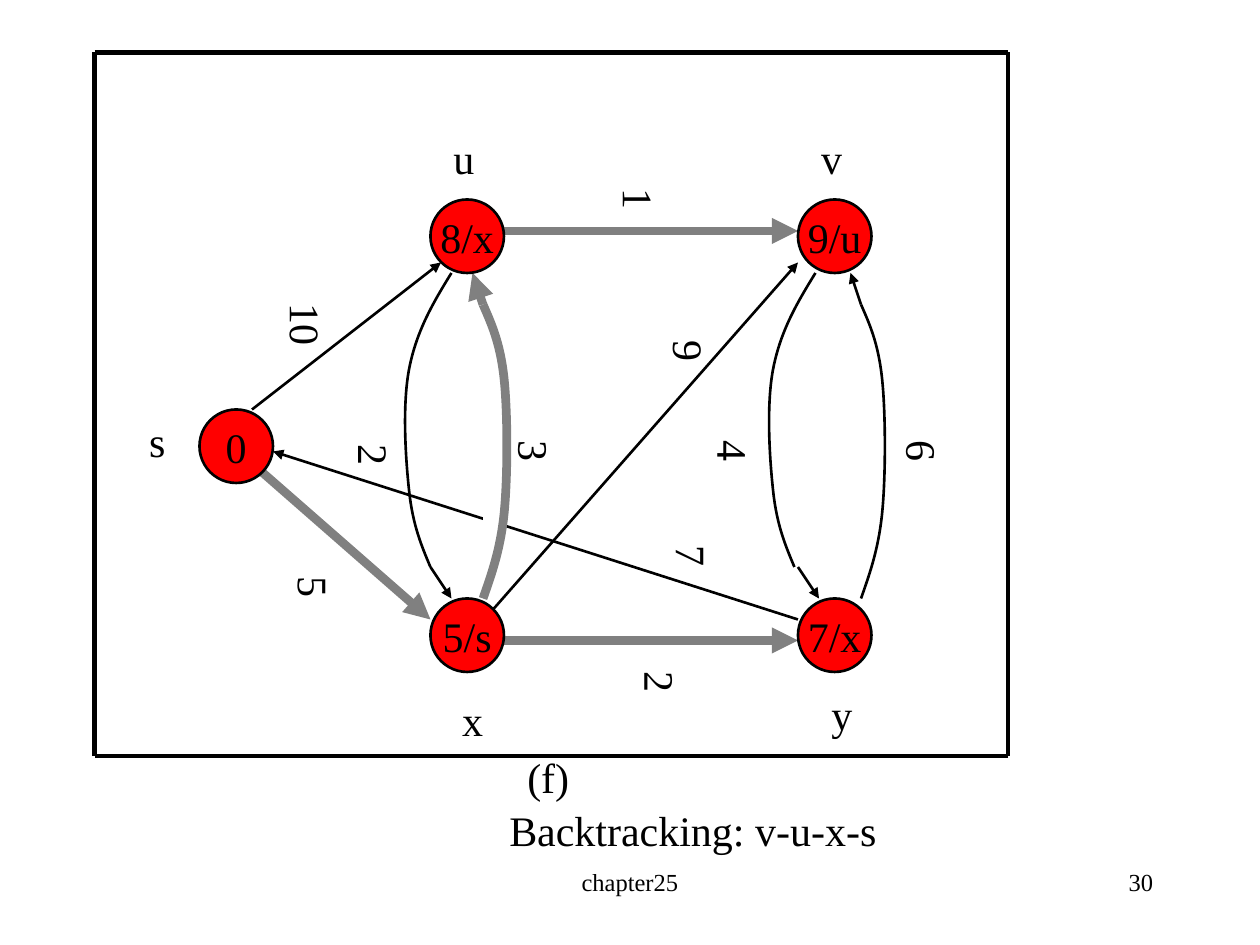
from dataclasses import dataclass

from lxml import etree
from pptx import Presentation
from pptx import util as u
from pptx.dml.color import RGBColor
from pptx.enum import shapes, text
from pptx.oxml.ns import qn


@dataclass(frozen=True)
class Theme:
    font: str = "Times New Roman"
    ink: str = "000000"
    route: str = "808080"
    node: str = "FF0000"
    paper: str = "FFFFFF"
    body: float = 24
    footer: float = 14
    thin: float = 1.5
    thick: float = 5
    border: float = 2.5


THEME = Theme()
EDGE = (THEME.ink, THEME.thin)
ROUTE = (THEME.route, THEME.thick)
CENTER, RIGHT = text.PP_ALIGN.CENTER, text.PP_ALIGN.RIGHT

NODE_SIZE = 42
NODES = [("0", 114, 234), ("7/x", 456, 342), ("9/u", 456, 114),
         ("5/s", 246, 342), ("8/x", 246, 114)]

ARROWS = [
    ((246, 324), (258, 342), EDGE),
    ((276, 174), (270, 156), ROUTE),
    ((456, 324), (468, 342), EDGE),
    ((492, 174), (486, 156), EDGE),
    ((150, 270), (246, 354), ROUTE),
    ((456, 354), (156, 258), EDGE),
    ((144, 234), (252, 150), EDGE),
    ((288, 132), (456, 132), ROUTE),
    ((288, 366), (456, 366), ROUTE),
    ((282, 348), (456, 150), EDGE),
]

DOWN = [(258, 156), (247.7, 172.8), (238.3, 188.6), (234, 210),
        (229.7, 231.1), (231.8, 262.8), (234, 282),
        (236.2, 301), (241.2, 312.5), (246, 324)]
UP = [(276, 342), (280.8, 328.3), (285.8, 314.6), (288, 294),
      (290.2, 272.9), (290.2, 236.2), (288, 216),
      (285.8, 195.8), (280.8, 185), (276, 174)]
CURVES = [(DOWN, 0, None, EDGE), (UP, 0, THEME.paper, ROUTE),
          (DOWN, 208, None, EDGE), (UP, 216, THEME.paper, EDGE)]

WEIGHTS = [
    ("10", 150, 166.3), ("5", 153.6, 322.6), ("2", 188.1, 247),
    ("1", 339.3, 100.8), ("3", 279.6, 244.8), ("4", 393.3, 244.8),
    ("2", 351.6, 376.6), ("6", 501.3, 244.8), ("9", 368.1, 187.2),
    ("7", 369.6, 304.6),
]
WEIGHT_WIDTH = 43.2
WEIGHT_INSET = 3.6
DIGIT = 12.1

NAMES = [("s", 78.2, 234, 23.8), ("u", 252, 72, 25.9), ("v", 462.2, 72, 25.9),
         ("x", 257, 393.1, 25.9), ("y", 468, 390.2, 25.9)]
LINE_HEIGHT = 36

FRAME = (54, 30, 576, 432)


def color(value):
    return RGBColor.from_string(value)


def set_line(shape, style):
    shape.line.color.rgb = color(style[0])
    shape.line.width = u.Pt(style[1])


def set_text(shape, content, size=THEME.body, align=None):
    paragraph = shape.text_frame.paragraphs[0]
    paragraph.text = content
    paragraph.alignment = align
    paragraph.font.name = THEME.font
    paragraph.font.size = u.Pt(size)
    paragraph.font.color.rgb = color(THEME.ink)


def add_line(slide, start, end, style, arrow=False):
    line = slide.shapes.add_connector(
        shapes.MSO_CONNECTOR.STRAIGHT, *map(u.Pt, (*start, *end)))
    set_line(line, style)
    if arrow:
        etree.SubElement(line.line._get_or_add_ln(), qn("a:tailEnd"), type="triangle")
    etree.SubElement(line._element.spPr, qn("a:effectLst"))


def add_node(slide, content, left, top):
    node = slide.shapes.add_shape(
        shapes.MSO_SHAPE.OVAL, *map(u.Pt, (left, top, NODE_SIZE, NODE_SIZE)))
    node.shadow.inherit = False
    node.fill.solid()
    node.fill.fore_color.rgb = color(THEME.node)
    set_line(node, EDGE)
    node.text_frame.word_wrap = False
    node.text_frame.vertical_anchor = text.MSO_ANCHOR.MIDDLE
    set_text(node, content, align=CENTER)


def bend_segments(curve):
    segments = list(curve._element.iter(qn("a:lnTo")))
    outline = segments[0].getparent()
    for first in range(0, len(segments), 3):
        cubic = etree.SubElement(outline, qn("a:cubicBezTo"))
        for segment in segments[first:first + 3]:
            cubic.append(segment[0])
            outline.remove(segment)


def add_curve(slide, controls, shift, fill, style):
    points = [(u.Pt(x + shift), u.Pt(y)) for x, y in controls]
    builder = slide.shapes.build_freeform(*points[0])
    builder.add_line_segments(points[1:], close=False)
    curve = builder.convert_to_shape()
    bend_segments(curve)
    curve.shadow.inherit = False
    if fill:
        curve.fill.solid()
        curve.fill.fore_color.rgb = color(fill)
    else:
        curve.fill.background()
    set_line(curve, style)


def add_label(slide, content, left, top, width, height=LINE_HEIGHT,
              size=THEME.body, align=None, wrap=False, vertical=False):
    box = slide.shapes.add_textbox(*map(u.Pt, (left, top, width, height)))
    frame = box.text_frame
    frame.word_wrap = wrap
    if not wrap:
        frame.auto_size = text.MSO_AUTO_SIZE.SHAPE_TO_FIT_TEXT
    if vertical:
        frame._txBody.bodyPr.set("vert", "eaVert")
        frame.margin_left = frame.margin_right = u.Pt(WEIGHT_INSET)
        frame.margin_top = frame.margin_bottom = u.Pt(WEIGHT_INSET)
    set_text(box, content, size, align)


def main():
    presentation = Presentation()
    presentation.slide_width, presentation.slide_height = u.Pt(720), u.Pt(540)
    slide = presentation.slides.add_slide(presentation.slide_layouts[6])

    for start, end, style in ARROWS:
        add_line(slide, start, end, style, arrow=True)
    for node in NODES:
        add_node(slide, *node)
    for curve in CURVES:
        add_curve(slide, *curve)
    for content, left, top in WEIGHTS:
        height = 2 * WEIGHT_INSET + DIGIT * len(content)
        add_label(slide, content, left, top, WEIGHT_WIDTH, height, vertical=True)
    for name in NAMES:
        add_label(slide, *name)

    left, top, right, bottom = FRAME
    corners = [(left, top), (right, top), (right, bottom), (left, bottom)]
    for start, end in zip(corners, corners[1:] + corners[:1]):
        add_line(slide, start, end, (THEME.ink, THEME.border))

    add_label(slide, "(f)", 294.2, 426.2, 38.2, align=CENTER)
    add_label(slide, "Backtracking: v-u-x-s", 72, 456, 648, align=CENTER, wrap=True)
    add_label(slide, "chapter25", 246, 492, 228, size=THEME.footer, align=CENTER, wrap=True)
    add_label(slide, "30", 516, 492, 150, size=THEME.footer, align=RIGHT, wrap=True)
    presentation.save("out.pptx")


if __name__ == "__main__":
    main()
